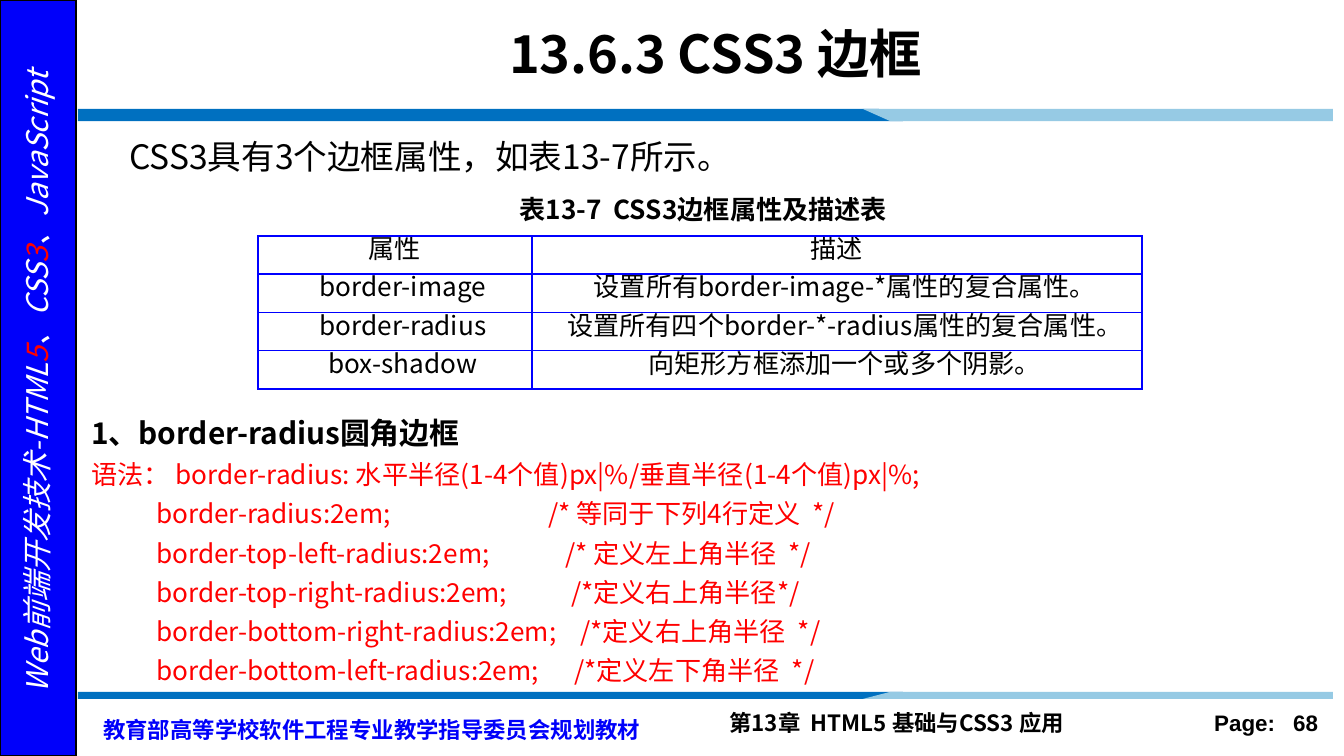
"""Build the CSS3 border slide with its sidebar, table and syntax listing."""
from lxml import etree
from pptx import Presentation
from pptx import util as u
from pptx.dml.color import RGBColor
from pptx.enum import shapes, text
from pptx.oxml import ns

PX = 914400 / 134.4
COLORS = {"blue": "0000FA", "grid": "0000FF", "dark": "0070C0", "light": "96CAE4",
          "red": "FF0000", "black": "000000", "white": "FFFFFF"}
SANS = "Noto Sans CJK SC"
LEFT, CENTER = text.PP_ALIGN.LEFT, text.PP_ALIGN.CENTER


def px(value):
    return u.Emu(round(value * PX))


def write(para, words, size, color="black", bold=False, align=LEFT, spacing=None, tabs=(), name=SANS):
    para.text = words
    para.alignment = align
    if spacing:
        para.line_spacing = spacing
    props = para._p.get_or_add_pPr()
    if tabs:
        stops = etree.SubElement(props, ns.qn("a:tabLst"))
        for stop in tabs:
            etree.SubElement(stops, ns.qn("a:tab"), pos=str(px(stop)), algn="l")
    font = para.font
    font.size, font.bold, font.name = u.Pt(size), bold, name
    font.color.rgb = RGBColor.from_string(COLORS[color])
    etree.SubElement(font._element, ns.qn("a:ea"), typeface=name)


deck = Presentation()
deck.slide_width, deck.slide_height = px(1344), px(756)
page = deck.slides.add_slide(deck.slide_layouts[6])

sidebar = page.shapes.add_shape(shapes.MSO_SHAPE.RECTANGLE, 0, 0, px(76), px(756))
sidebar.shadow.inherit = False
sidebar.fill.solid()
sidebar.fill.fore_color.rgb = RGBColor.from_string(COLORS["blue"])
sidebar.line.color.rgb = RGBColor.from_string(COLORS["black"])
sidebar.line.width = u.Pt(1)

for near, far in ((109, 121), (699, 692)):
    bands = {
        "dark": [(78, near), (879, near), (903, far), (78, far)],
        "light": [(863, near), (1333, near), (1333, far), (890, far)],
    }
    for color, points in bands.items():
        outline = page.shapes.build_freeform(*points[0], scale=PX)
        outline.add_line_segments(points[1:], close=True)
        band = outline.convert_to_shape()
        band.shadow.inherit = False
        band.fill.solid()
        band.fill.fore_color.rgb = RGBColor.from_string(COLORS[color])
        band.line.fill.background()

frames = {}
for label, left, top, width, height in (
    ("chapter", 716, 703, 442, 40),
    ("number", 1165, 703, 168, 40),
    ("publisher", 90, 703, 582, 47),
    ("book", -310, 359, 698, 46),
    ("title", 145, 11, 1141, 83),
    ("intro", 78, 121, 1251, 101),
    ("syntax", 78, 405, 1251, 280),
):
    box = page.shapes.add_textbox(px(left), px(top), px(width), px(height))
    box.text_frame.word_wrap = True
    frames[label] = box.text_frame
    if label == "book":
        box.rotation = 270

write(frames["chapter"].paragraphs[0], "第13章  HTML5 基础与CSS3 应用", 12, bold=True)
write(frames["number"].paragraphs[0], "\tPage:\t68", 12, bold=True, tabs=(36, 115), name="Arial")
write(frames["publisher"].paragraphs[0], "教育部高等学校软件工程专业教学指导委员会规划教材", 12,
      "blue", True, spacing=u.Pt(18))
frames["title"].vertical_anchor = text.MSO_ANCHOR.MIDDLE
write(frames["title"].paragraphs[0], "13.6.3 CSS3 边框", 28, bold=True, align=CENTER)

book = frames["book"].paragraphs[0]
write(book, "", 16, "white", align=CENTER, spacing=0.9)
book.space_before = u.Pt(3)
book.font.italic = True
for words, color in (("Web前端开发技术-HTML", "white"), ("5", "red"), ("、CSS", "white"),
                     ("3", "red"), ("、JavaScript", "white")):
    span = book.add_run()
    span.text = words
    span.font.color.rgb = RGBColor.from_string(COLORS[color])

intro = frames["intro"].paragraphs[0]
write(intro, "CSS3具有3个边框属性，如表13-7所示。", 18, spacing=u.Pt(26))
intro._p.get_or_add_pPr().set("marL", str(px(38)))
write(frames["intro"].add_paragraph(), "表13-7  CSS3边框属性及描述表", 14, bold=True,
      align=CENTER, spacing=u.Pt(26))

rows = [
    ("属性", "描述"),
    ("border-image", "设置所有border-image-*属性的复合属性。"),
    ("border-radius", "设置所有四个border-*-radius属性的复合属性。"),
    ("box-shadow", "向矩形方框添加一个或多个阴影。"),
]
table = page.shapes.add_table(len(rows), 2, px(258), px(236), px(884), px(153)).table
table.first_row = table.horz_banding = False
for column, width in zip(table.columns, (274, 610)):
    column.width = px(width)
for r, row in enumerate(rows):
    for c, words in enumerate(row):
        cell = table.cell(r, c)
        cell.margin_left = cell.margin_right = px(9)
        cell.margin_top = cell.margin_bottom = 0
        cell.vertical_anchor = text.MSO_ANCHOR.MIDDLE
        para = cell.text_frame.paragraphs[0]
        write(para, words, 14, align=CENTER, spacing=u.Pt(12))
        para.space_before = u.Pt(3)
        if r:
            para._p.get_or_add_pPr().set("indent", str(px(16)))
        props = cell._tc.get_or_add_tcPr()
        for side in ("lnL", "lnR", "lnT", "lnB"):
            edge = etree.SubElement(props, ns.qn("a:" + side), w=str(u.Pt(1)))
            fill = etree.SubElement(edge, ns.qn("a:solidFill"))
            etree.SubElement(fill, ns.qn("a:srgbClr"), val=COLORS["grid"])
        cell.fill.background()

syntax = frames["syntax"]
write(syntax.paragraphs[0], "1、border-radius圆角边框", 16, bold=True, spacing=u.Pt(21))
write(syntax.add_paragraph(), "语法： border-radius: 水平半径(1-4个值)px|%/垂直半径(1-4个值)px|%;",
      14, "red", spacing=u.Pt(21))
for rule, note, stop in (
    ("border-radius", "/* 等同于下列4行定义  */", 457),
    ("border-top-left-radius", "/* 定义左上角半径  */", 474),
    ("border-top-right-radius", "/*定义右上角半径*/", 480),
    ("border-bottom-right-radius", "/*定义右上角半径  */", 489),
    ("border-bottom-left-radius", "/*定义左下角半径  */", 483),
):
    write(syntax.add_paragraph(), f"\t{rule}:2em;\t{note}", 14, "red",
          spacing=u.Pt(21), tabs=(65, stop))

deck.save("out.pptx")
